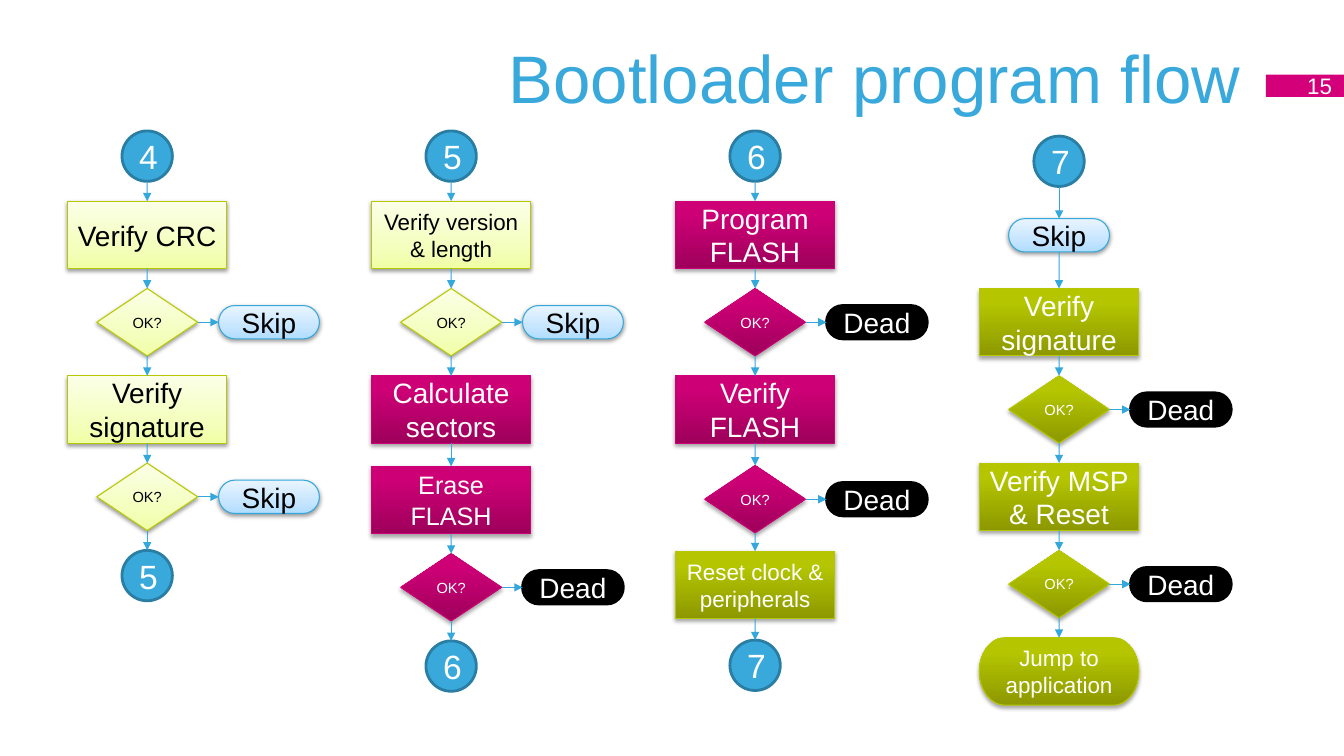
from collections import namedtuple

from lxml.etree import SubElement
from pptx import Presentation
from pptx.dml.color import RGBColor
from pptx.enum.shapes import MSO_CONNECTOR, MSO_SHAPE
from pptx.enum.text import MSO_ANCHOR, PP_ALIGN
from pptx.oxml.ns import qn
from pptx.util import Cm, Pt

COLORS = {
    "white": "FFFFFF", "black": "000000",
    "blue": "39A9DC", "blue_edge": "2A7DA3", "sky_edge": "34A7DB",
    "sky_low": "AFDCFF", "sky_mid": "C6E5FF", "sky_top": "E9F5FF",
    "pale_low": "F0FFA5", "pale_mid": "F4FFBF", "pale_top": "FBFFE7",
    "pink_low": "9E005B", "pink_mid": "CD0076", "pink_top": "CE0077",
    "pink_edge": "CF0077", "magenta": "D4007A",
    "olive_low": "8C9800", "olive_mid": "B5C600", "olive_top": "B6C700",
    "lime_edge": "B7C800",
}

# A gradient look has three colours from bottom to top; mid is the middle stop in percent.
Look = namedtuple("Look", "fill edge font edge_pt mid alpha dist",
                  defaults=(0.75, 35, 38, 1.6))
LOOKS = {
    "pale": Look(("pale_low", "pale_mid", "pale_top"), "lime_edge", "black"),
    "sky": Look(("sky_low", "sky_mid", "sky_top"), "sky_edge", "black"),
    "pink": Look(("pink_low", "pink_mid", "pink_top"), "pink_edge", "white",
                 mid=80, alpha=35, dist=1.8),
    "olive": Look(("olive_low", "olive_mid", "olive_top"), "lime_edge", "white",
                  mid=80, alpha=35, dist=1.8),
    "blue": Look(("blue",), "blue_edge", "white", 2),
    "black": Look(("black",), "black", "white", 2),
}

# Preset, width and height in cm, text size in points
Kind = namedtuple("Kind", "preset width height size")
KINDS = {
    "circle": Kind(MSO_SHAPE.FLOWCHART_CONNECTOR, 1.27, 1.27, 24),
    "process": Kind(MSO_SHAPE.FLOWCHART_PROCESS, 4.02, 1.7, 20),
    "decision": Kind(MSO_SHAPE.FLOWCHART_DECISION, 2.54, 1.7, 10.5),
    "pill": Kind(MSO_SHAPE.FLOWCHART_TERMINATOR, 2.54, 0.84, 20),
    "end": Kind(MSO_SHAPE.FLOWCHART_TERMINATOR, 4.02, 1.7, 16),
}
TOP, BOTTOM, LEFT, RIGHT = 0, 2, 1, 3
FIRST_CENTER, COLUMN_PITCH, BRANCH_OFFSET = 3.71, 7.66, 1.8

# Gap is the distance in cm from the step above.
Step = namedtuple("Step", "kind look text size gap", defaults=("OK?", None, 0.5))
COLUMNS = [
    (3.3, [Step("circle", "blue", "4"),
           Step("process", "pale", "Verify CRC"),
           Step("decision", "pale"),
           Step("process", "pale", "Verify signature"),
           Step("decision", "pale"),
           Step("circle", "blue", "5")]),
    (3.3, [Step("circle", "blue", "5"),
           Step("process", "pale", "Verify version & length", 16),
           Step("decision", "pale"),
           Step("process", "pink", "Calculate sectors"),
           Step("process", "pink", "Erase FLASH", 18, gap=0.58),
           Step("decision", "pink"),
           Step("circle", "blue", "6")]),
    (3.3, [Step("circle", "blue", "6"),
           Step("process", "pink", "Program FLASH"),
           Step("decision", "pink"),
           Step("process", "pink", "Verify FLASH"),
           Step("decision", "pink", gap=0.56),
           Step("process", "olive", "Reset clock & peripherals", 16, gap=0.46),
           Step("circle", "blue", "7", gap=0.54)]),
    (3.43, [Step("circle", "blue", "7"),
            Step("pill", "sky", "Skip", gap=0.81),
            Step("process", "olive", "Verify signature", gap=0.92),
            Step("decision", "olive"),
            Step("process", "olive", "Verify MSP & Reset"),
            Step("decision", "olive"),
            Step("end", "olive", "Jump to application")]),
]


def rgb(name):
    return RGBColor.from_string(COLORS[name])


def put_text(sp, text, size, color, align=PP_ALIGN.CENTER, wrap=True, inset=(0.25, 0.13)):
    tf = sp.text_frame
    tf.word_wrap = wrap
    tf.vertical_anchor = MSO_ANCHOR.MIDDLE
    tf.margin_left = tf.margin_right = Cm(inset[0])
    tf.margin_top = tf.margin_bottom = Cm(inset[1])
    p = tf.paragraphs[0]
    p.alignment = align
    r = p.add_run()
    r.text = text
    r.font.name = "Arial"
    r.font.size = Pt(size)
    r.font.color.rgb = rgb(color)


def apply_look(sp, look):
    """Give a shape its fill and edge, and a soft shadow if it has a gradient."""
    sp.shadow.inherit = False
    if len(look.fill) == 1:
        sp.fill.solid()
        sp.fill.fore_color.rgb = rgb(look.fill[0])
    else:
        sp.fill.gradient()
        sp.fill.gradient_angle = 90
        stops = sp._element.spPr.find(".//" + qn("a:gsLst"))
        for gs in list(stops):
            stops.remove(gs)
        for pos, name in zip((0, look.mid, 100), look.fill):
            gs = SubElement(stops, qn("a:gs"), pos=str(pos * 1000))
            SubElement(gs, qn("a:srgbClr"), val=COLORS[name])
        effects = sp._element.spPr.find(qn("a:effectLst"))
        shadow = SubElement(effects, qn("a:outerShdw"), blurRad=str(Pt(3.1)),
                            dist=str(Pt(look.dist)), dir="5400000", rotWithShape="0")
        clr = SubElement(shadow, qn("a:srgbClr"), val=COLORS["black"])
        SubElement(clr, qn("a:alpha"), val=str(look.alpha * 1000))
    sp.line.color.rgb = rgb(look.edge)
    sp.line.width = Pt(look.edge_pt)


def add_node(s, kind, look, text, left, top, size=None):
    k, style = KINDS[kind], LOOKS[look]
    sp = s.shapes.add_shape(k.preset, Cm(left), Cm(top), Cm(k.width), Cm(k.height))
    apply_look(sp, style)
    put_text(sp, text, size or k.size, style.font)
    return sp


def side_point(sp, side):
    x, y = {TOP: (0.5, 0), LEFT: (0, 0.5), BOTTOM: (0.5, 1), RIGHT: (1, 0.5)}[side]
    return int(sp.left + x * sp.width), int(sp.top + y * sp.height)


def add_arrow(s, start, start_side, end, end_side):
    line = s.shapes.add_connector(MSO_CONNECTOR.STRAIGHT, *side_point(start, start_side),
                                  *side_point(end, end_side))
    # On a circle, connection site 2 is not the bottom.
    if start.auto_shape_type != MSO_SHAPE.FLOWCHART_CONNECTOR:
        line.begin_connect(start, start_side)
    line.end_connect(end, end_side)
    line.line.color.rgb = rgb("sky_edge")
    line.line.width = Pt(0.75)
    SubElement(line.line._get_or_add_ln(), qn("a:tailEnd"), type="triangle")
    SubElement(line._element.spPr, qn("a:effectLst"))


def add_branch(s, decision, look, center, middle):
    """Lead from a decision to the exit on its right."""
    exit_look, text = ("sky", "Skip") if look == "pale" else ("black", "Dead")
    pill = add_node(s, "pill", exit_look, text, center + BRANCH_OFFSET,
                    middle - KINDS["pill"].height / 2)
    add_arrow(s, decision, RIGHT, pill, LEFT)


def add_column(s, center, top, steps):
    above = None
    for step in steps:
        k = KINDS[step.kind]
        if above is not None:
            top += step.gap
        sp = add_node(s, step.kind, step.look, step.text, center - k.width / 2, top, step.size)
        if above is not None:
            add_arrow(s, above, BOTTOM, sp, TOP)
        if step.kind == "decision":
            add_branch(s, sp, step.look, center, top + k.height / 2)
        above = sp
        top += k.height


def add_header(s, left, top, width, height):
    title = s.shapes.add_textbox(Cm(left), Cm(top), Cm(width), Cm(height))
    put_text(title, "Bootloader program flow", 48, "blue", PP_ALIGN.RIGHT, inset=(0.33, 0.18))
    tag = s.shapes.add_shape(MSO_SHAPE.RECTANGLE, Cm(left + width + 0.3), Cm(top + 1.55),
                             Cm(2), Cm(0.56))
    tag.shadow.inherit = False
    tag.fill.solid()
    tag.fill.fore_color.rgb = rgb("magenta")
    tag.line.fill.background()
    put_text(tag, "15", 16, "white", PP_ALIGN.RIGHT, wrap=False, inset=(0.33, 0.18))


def main():
    prs = Presentation()
    prs.slide_width, prs.slide_height = Cm(33.87), Cm(19.05)
    s = prs.slides.add_slide(prs.slide_layouts[6])
    add_header(s, 1.7, 0.33, 29.9, 3.18)
    for i, (top, steps) in enumerate(COLUMNS):
        add_column(s, FIRST_CENTER + i * COLUMN_PITCH, top, steps)
    prs.save("out.pptx")


if __name__ == "__main__":
    main()
